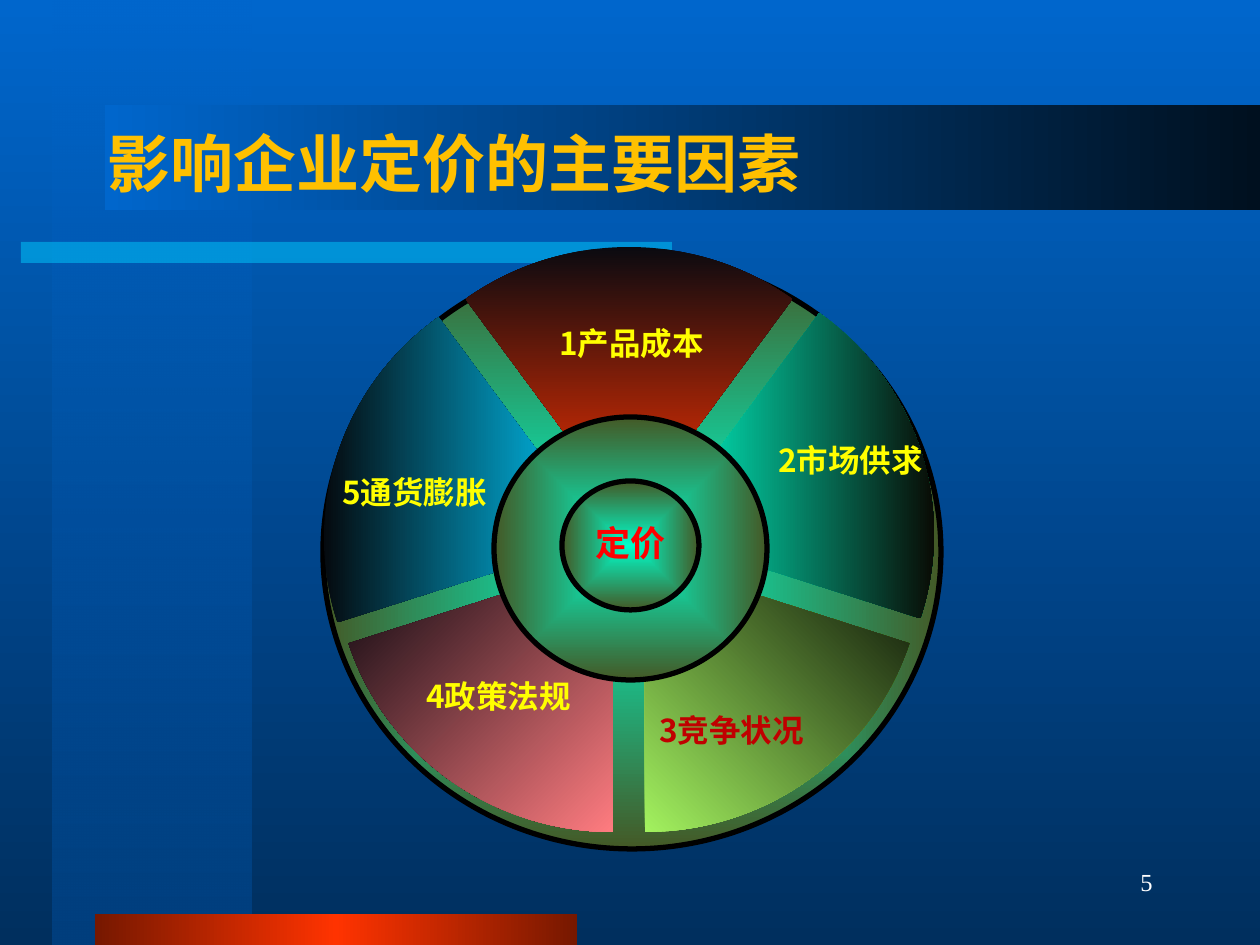
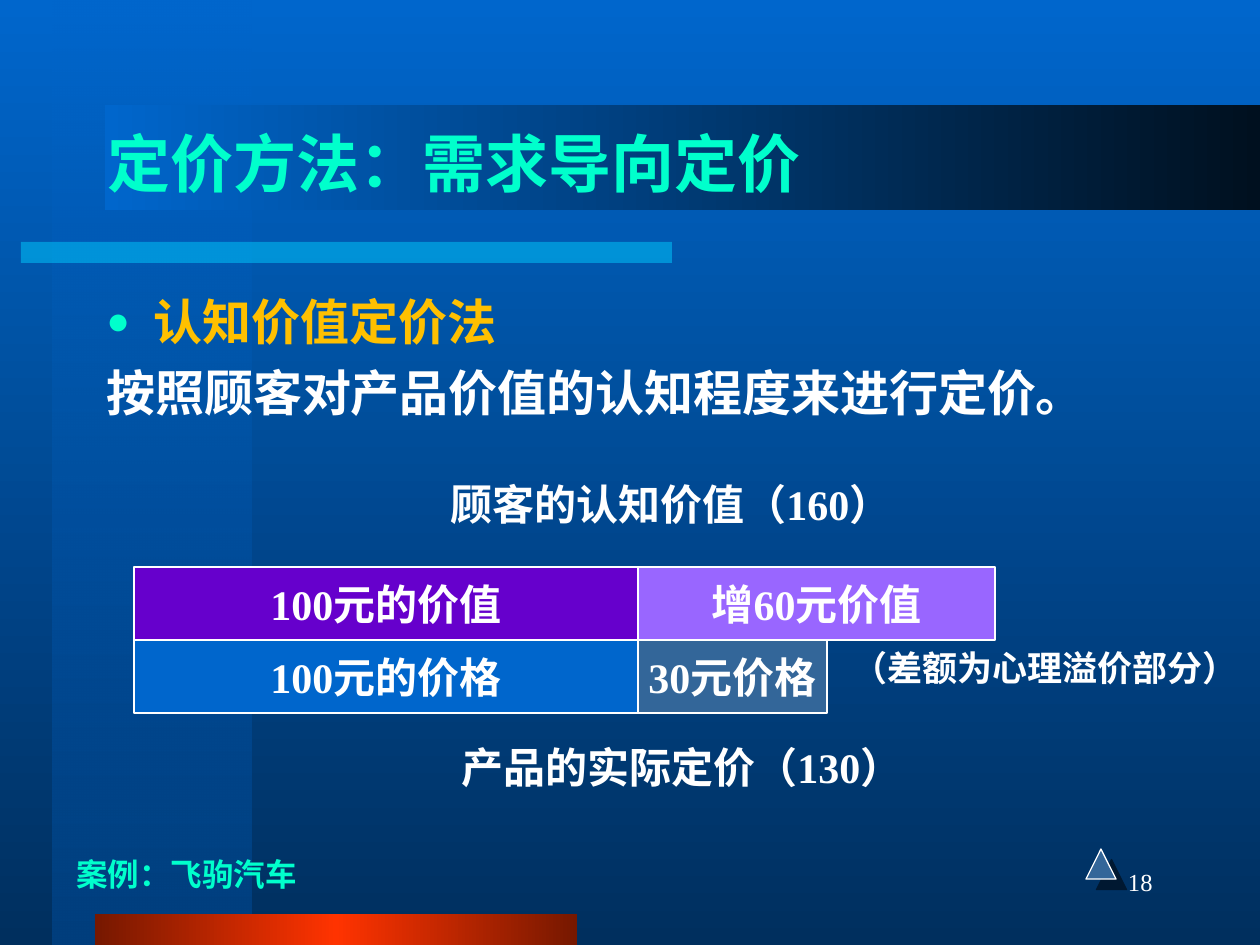
from dataclasses import dataclass
from math import cos, radians, sin, tan

from lxml.etree import SubElement
from pptx import Presentation
from pptx.dml.color import RGBColor as Rgb
from pptx.enum.shapes import MSO_SHAPE as Shape
from pptx.enum.text import MSO_ANCHOR as Anchor, MSO_AUTO_SIZE as AutoSize, PP_ALIGN as Align
from pptx.oxml.ns import qn
from pptx.util import Pt

PX = 914400 / 126


@dataclass(frozen=True)
class Theme:
    white: str = "FFFFFF"
    black: str = "000000"
    blue: str = "0066CC"
    steel: str = "336699"
    aqua: str = "00FFCC"
    gold: str = "FFC000"
    yellow: str = "FFFF00"
    crimson: str = "C00000"
    red: str = "FF0000"
    sky: tuple = ("0066CC", "002F5E")
    hub: tuple = ("00FFCC", "445926")
    cjk: str = "Noto Sans CJK SC"
    sans: str = "Arial"
    serif: str = "Times New Roman"
    title: int = 36
    body: int = 28
    bar: int = 24
    note: int = 20
    label: int = 18
    number: int = 14


THEME = Theme()

BANDS = [
    ((53, 0, 199, 945), (("0066CC", 50), "003F7E"), 90),
    ((21, 242, 651, 21), (("00CCFF", 50),), 0),
    ((95, 914, 482, 31), ("761800", "FF3300", "761800"), 0),
    ((105, 105, 1155, 105), ("0066CC", "00101F"), 0),
]
TITLE_AREA = (95, 84, 1071, 157)
NUMBER_AREA = (902, 861, 263, 63)

FACTORS_TITLE = "影响企业定价的主要因素"
DISC = (323, 255, 618, 594)
HUBS = [((494, 417, 273, 263), ""), ((562, 481, 137, 129), "定价")]
WEDGE_RADII = (278, 273)
WEDGE_SWEEP = 72
LABEL_SIZE = (171, 44)
FACTORS = [
    ("1产品成本", (629, 520), ("0A0A10", "FF3300"), 90, (546, 323), THEME.yellow),
    ("2市场供求", (656, 534), ("00FFCC", "090C05"), 0, (765, 440), THEME.yellow),
    ("3竞争状况", (645, 559), ("A3F25F", "0A0F06"), 315, (646, 710), THEME.crimson),
    ("4政策法规", (613, 559), ("08060E", "FF7C80"), 45, (413, 676), THEME.yellow),
    ("5通货膨胀", (602, 538), ("050A0F", "00CCFF"), 0, (329, 472), THEME.yellow),
]

DEMAND_TITLE = "定价方法：需求导向定价"
METHOD = "认知价值定价法"
METHOD_TEXT = "按照顾客对产品价值的认知程度来进行定价。"
METHOD_AREA = (94, 285, 1071, 168)
BAR_ORIGIN = (134, 567)
BAR_HEIGHT = 73
BAR_ROWS = [
    [("100元的价值", 504, "6600CC"), ("增60元价值", 357, "9966FF")],
    [("100元的价格", 504, THEME.blue), ("30元价格", 189, THEME.steel)],
]
CAPTIONS = [
    ("顾客的认知价值（160）", (438, 472, 588, 63), THEME.bar, THEME.serif, THEME.white, True),
    ("（差额为心理溢价部分）", (840, 640, 411, 55), THEME.note, THEME.serif, THEME.white, False),
    ("产品的实际定价（130）", (449, 735, 568, 63), THEME.bar, THEME.serif, THEME.white, True),
    ("案例：飞驹汽车", (64, 849, 287, 50), THEME.label, THEME.sans, THEME.aqua, True),
]
MARKER = (1086, 849, 30, 30)
SHADOW = {"blurRad": "0", "dist": str(Pt(8.5)), "dir": "2700000", "algn": "ctr", "rotWithShape": "0"}


def emu(*lengths):
    return [round(length * PX) for length in lengths]


def apply(target, values):
    for name, value in values.items():
        setattr(target, name, value)


def add_colour(parent, stop):
    code, alpha = stop if isinstance(stop, tuple) else (stop, 100)
    colour = SubElement(parent, qn("a:srgbClr"), val=code)
    if alpha < 100:
        SubElement(colour, qn("a:alpha"), val=str(alpha * 1000))


def paint(fill, owner, stops, angle=0):
    if len(stops) == 1:
        fill.solid()
        fill.fore_color.rgb = Rgb.from_string(THEME.black)
        solid = next(owner.iter(qn("a:solidFill")))
        solid.remove(solid[0])
        add_colour(solid, stops[0])
        return
    fill.gradient()
    gradient = next(owner.iter(qn("a:gradFill")))
    for child in list(gradient):
        gradient.remove(child)
    ramp = SubElement(gradient, qn("a:gsLst"))
    for index, stop in enumerate(stops):
        position = 100000 * index // (len(stops) - 1)
        add_colour(SubElement(ramp, qn("a:gs"), pos=str(position)), stop)
    if angle is None:
        path = SubElement(gradient, qn("a:path"), path="rect")
        SubElement(path, qn("a:fillToRect"), dict.fromkeys("ltrb", "50000"))
    else:
        SubElement(gradient, qn("a:lin"), ang=str(angle * 60000), scaled="0")


def finish(shape, stops, angle=0, line=None, width=0.75):
    shape.shadow.inherit = False
    paint(shape.fill, shape._element.spPr, stops, angle)
    if line:
        shape.line.color.rgb = Rgb.from_string(line)
        shape.line.width = Pt(width)
    else:
        shape.line.fill.background()
    return shape


def draw(page, kind, area, stops, angle=0, **outline):
    return finish(page.shapes.add_shape(kind, *emu(*area)), stops, angle, **outline)


def write(para, text, size, face, colour, bold=True, **layout):
    apply(para, layout)
    span = para.add_run()
    span.text = text
    apply(span.font, {"size": Pt(size), "name": face, "bold": bold})
    span.font.color.rgb = Rgb.from_string(colour)
    SubElement(span._r.get_or_add_rPr(), qn("a:ea"), typeface=THEME.cjk)


def frame_of(shape, margins=(0.1, 0.05), **layout):
    frame = shape.text_frame
    side, edge = (round(margin * 914400) for margin in margins)
    apply(frame, {"margin_left": side, "margin_right": side,
                  "margin_top": edge, "margin_bottom": edge, **layout})
    return frame


def add_text(page, area, margins=(0.1, 0.05), wrap=True, anchor=Anchor.TOP):
    box = page.shapes.add_textbox(*emu(*area))
    fit = AutoSize.NONE if wrap else AutoSize.SHAPE_TO_FIT_TEXT
    return frame_of(box, margins, word_wrap=wrap, vertical_anchor=anchor, auto_size=fit)


def start_page(deck, title, colour, number):
    page = deck.slides.add_slide(deck.slide_layouts[6])
    for area, stops, angle in BANDS:
        draw(page, Shape.RECTANGLE, area, stops, angle)
    write(add_text(page, NUMBER_AREA).paragraphs[0], number, THEME.number,
          THEME.serif, THEME.white, False, alignment=Align.RIGHT)
    write(add_text(page, TITLE_AREA, anchor=Anchor.MIDDLE).paragraphs[0],
          title, THEME.title, THEME.cjk, colour)
    return page


def rim_point(apex, degrees, pull=0):
    turn = radians(degrees)
    across = sin(turn) + pull * cos(turn)
    up = cos(turn) - pull * sin(turn)
    return emu(apex[0] + WEDGE_RADII[0] * across, apex[1] - WEDGE_RADII[1] * up)


def add_wedge(page, index, apex, stops, angle):
    first = WEDGE_SWEEP * index - WEDGE_SWEEP // 2
    last = first + WEDGE_SWEEP
    turns = [first, *(turn for turn in range(0, 360, 90) if first < turn < last), last]
    rim = [rim_point(apex, first)]
    for start, end in zip(turns, turns[1:]):
        pull = 4 / 3 * tan(radians(end - start) / 4)
        rim += [rim_point(apex, start, pull), rim_point(apex, end, -pull), rim_point(apex, end)]
    builder = page.shapes.build_freeform(*emu(*apex))
    builder.add_line_segments(rim, close=True)
    wedge = builder.convert_to_shape()
    legs = list(wedge._element.iter(qn("a:lnTo")))[1:len(rim)]
    for place in range(0, len(legs), 3):
        curve = SubElement(legs[place].getparent(), qn("a:cubicBezTo"))
        legs[place].addprevious(curve)
        for leg in legs[place:place + 3]:
            curve.append(leg[0])
            leg.getparent().remove(leg)
    finish(wedge, stops, angle)


def add_factors(deck):
    page = start_page(deck, FACTORS_TITLE, THEME.gold, "5")
    ring = {"line": THEME.black, "width": 3}
    centred = {"alignment": Align.CENTER, "line_spacing": 0.9}
    draw(page, Shape.OVAL, DISC, THEME.hub, None, **ring)
    for index, (_, apex, stops, angle, _, _) in enumerate(FACTORS):
        add_wedge(page, index, apex, stops, angle)
    for text, _, _, _, corner, colour in FACTORS:
        frame = add_text(page, corner + LABEL_SIZE, (0.08, 0.04), False)
        write(frame.paragraphs[0], text, THEME.label, THEME.cjk, colour, **centred)
    for area, text in HUBS:
        hub = draw(page, Shape.OVAL, area, THEME.hub, None, **ring)
        if text:
            frame = frame_of(hub, word_wrap=False, vertical_anchor=Anchor.MIDDLE)
            write(frame.paragraphs[0], text, THEME.note, THEME.sans, THEME.red, **centred)


def add_method(page):
    frame = add_text(page, METHOD_AREA)
    first, second = frame.paragraphs[0], frame.add_paragraph()
    for para in (first, second):
        indent = para._p.get_or_add_pPr()
        indent.set("marL", "342900")
        indent.set("indent", "-342900")
    bullet = first._p.pPr
    add_colour(SubElement(bullet, qn("a:buClr")), THEME.aqua)
    SubElement(bullet, qn("a:buSzPct"), val="80000")
    SubElement(bullet, qn("a:buFont"), typeface=THEME.sans)
    SubElement(bullet, qn("a:buChar"), char="●")
    write(first, METHOD, THEME.body, THEME.sans, THEME.gold)
    write(second, METHOD_TEXT, THEME.body, THEME.sans, THEME.white, space_before=Pt(7))


def add_demand(deck):
    page = start_page(deck, DEMAND_TITLE, THEME.aqua, "18")
    add_method(page)
    for row, bars in enumerate(BAR_ROWS):
        left, top = BAR_ORIGIN[0], BAR_ORIGIN[1] + row * BAR_HEIGHT
        for text, width, colour in bars:
            bar = draw(page, Shape.RECTANGLE, (left, top, width, BAR_HEIGHT),
                       (colour,), line=THEME.white)
            frame = frame_of(bar, word_wrap=False, vertical_anchor=Anchor.MIDDLE)
            write(frame.paragraphs[0], text, THEME.bar, THEME.serif, THEME.white,
                  alignment=Align.CENTER)
            left += width
    for text, area, size, face, colour, wrap in CAPTIONS:
        write(add_text(page, area, wrap=wrap).paragraphs[0], text, size, face, colour)
    marker = draw(page, Shape.ISOSCELES_TRIANGLE, MARKER, (THEME.steel,), line=THEME.white)
    effects = marker._element.spPr.find(qn("a:effectLst"))
    add_colour(SubElement(effects, qn("a:outerShdw"), SHADOW), (THEME.black, 50))


def main():
    deck = Presentation()
    deck.slide_width, deck.slide_height = emu(1260, 945)
    master = deck.slide_master
    paint(master.background.fill, master._element, THEME.sky, 90)
    add_factors(deck)
    add_demand(deck)
    deck.save("out.pptx")


if __name__ == "__main__":
    main()
